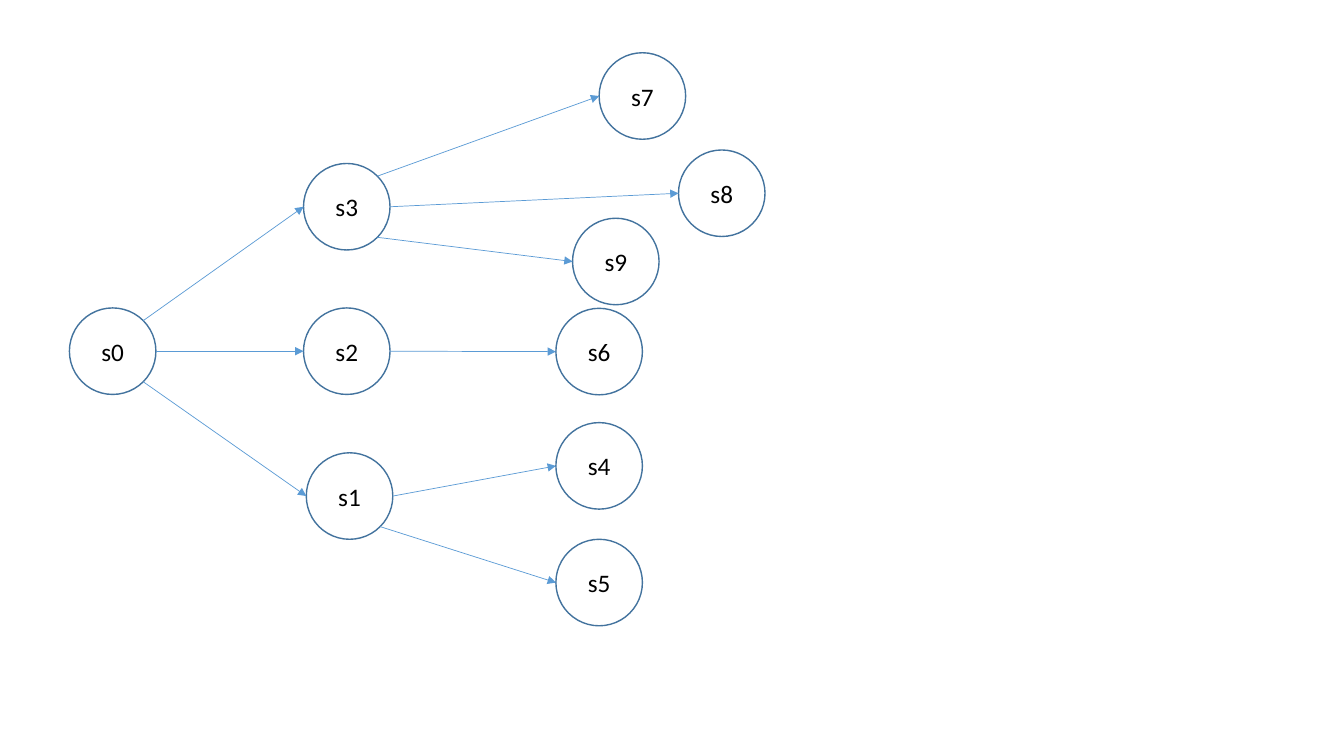
from math import cos, radians, sin

from pptx import Presentation
from pptx.dml.color import RGBColor
from pptx.enum.shapes import MSO_CONNECTOR, MSO_SHAPE
from pptx.enum.text import MSO_ANCHOR, PP_ALIGN
from pptx.oxml.ns import qn
from pptx.util import Cm, Pt
from lxml import etree

ELLIPSE = MSO_SHAPE.OVAL
STRAIGHT = MSO_CONNECTOR.STRAIGHT
MIDDLE = MSO_ANCHOR.MIDDLE
CENTER = PP_ALIGN.CENTER

DIAMETER = 2.18
ROOT, SECOND, THIRD = 0, 5.9, 12.26
STATES = {
    "s0": (ROOT, 6.43),
    "s1": (SECOND + 0.07, 10.08),
    "s2": (SECOND, 6.43),
    "s3": (SECOND, 2.79),
    "s4": (THIRD, 9.32),
    "s5": (THIRD, 12.26),
    "s6": (THIRD, 6.44),
    "s7": (13.35, 0),
    "s8": (15.35, 2.45),
    "s9": (12.68, 4.17),
}
UP, LEVEL, DOWN = -45, 0, 45
TRANSITIONS = [
    ("s0", "s1", DOWN),
    ("s0", "s2", LEVEL),
    ("s0", "s3", UP),
    ("s1", "s5", DOWN),
    ("s1", "s4", LEVEL),
    ("s2", "s6", LEVEL),
    ("s3", "s7", UP),
    ("s3", "s8", LEVEL),
    ("s3", "s9", DOWN),
]


def color(value):
    """Turn a hex string into a colour."""
    return RGBColor.from_string(value)


def add_state(page, label, left, top):
    """Draw one labelled state circle."""
    circle = page.shapes.add_shape(ELLIPSE, Cm(left), Cm(top), Cm(DIAMETER), Cm(DIAMETER))
    circle.shadow.inherit = False
    circle.fill.background()
    circle.line.color.rgb = color("43739E")
    circle.line.width = Pt(1)
    frame = circle.text_frame
    frame.vertical_anchor = MIDDLE
    frame.text = label
    para = frame.paragraphs[0]
    para.alignment = CENTER
    font = para.runs[0].font
    font.name = "Calibri"
    font.size = Pt(18)
    font.color.rgb = color("000000")


def rim_point(box, label, angle):
    """Find the point on a state's rim at an angle, clockwise from the right."""
    left, top = STATES[label]
    radius = DIAMETER / 2
    return (
        Cm(box[0] + left + radius * (1 + cos(radians(angle)))),
        Cm(box[1] + top + radius * (1 + sin(radians(angle)))),
    )


def add_transition(page, start, end):
    """Draw one thin arrow between two points."""
    arrow = page.shapes.add_connector(STRAIGHT, *start, *end)
    arrow.line.color.rgb = color("5B9BD5")
    arrow.line.width = Pt(0.5)
    outline = arrow._element.spPr.find(qn("a:ln"))
    etree.SubElement(outline, qn("a:tailEnd"), type="triangle")
    etree.SubElement(arrow._element.spPr, qn("a:effectLst"))


def add_state_tree(page, box):
    """Draw the tree of states from the top left corner of its box."""
    for label, (left, top) in STATES.items():
        add_state(page, label, box[0] + left, box[1] + top)
    for source, target, angle in TRANSITIONS:
        add_transition(page, rim_point(box, source, angle), rim_point(box, target, 180))


def main():
    """Build and save the deck."""
    deck = Presentation()
    deck.slide_width, deck.slide_height = Cm(33.87), Cm(19.05)
    page = deck.slides.add_slide(deck.slide_layouts[6])
    add_state_tree(page, (1.75, 1.33))
    deck.save("out.pptx")


if __name__ == "__main__":
    main()
